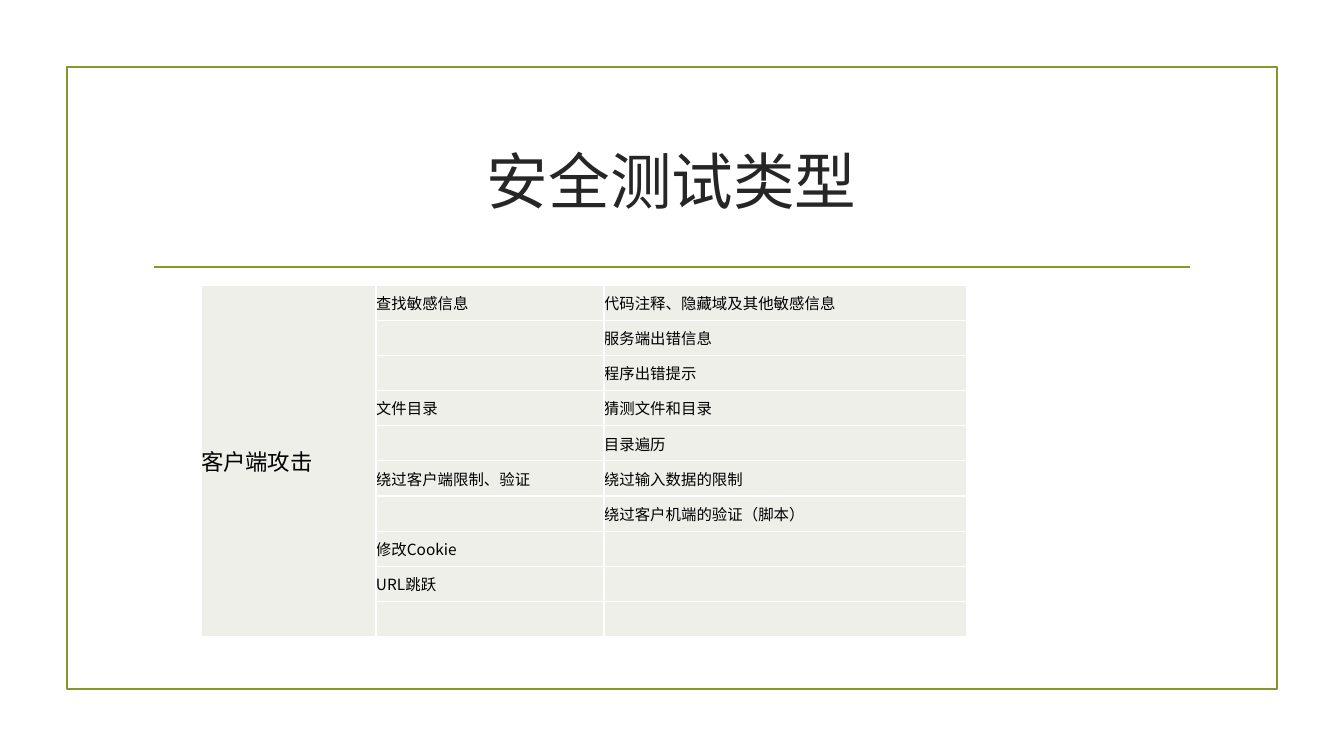
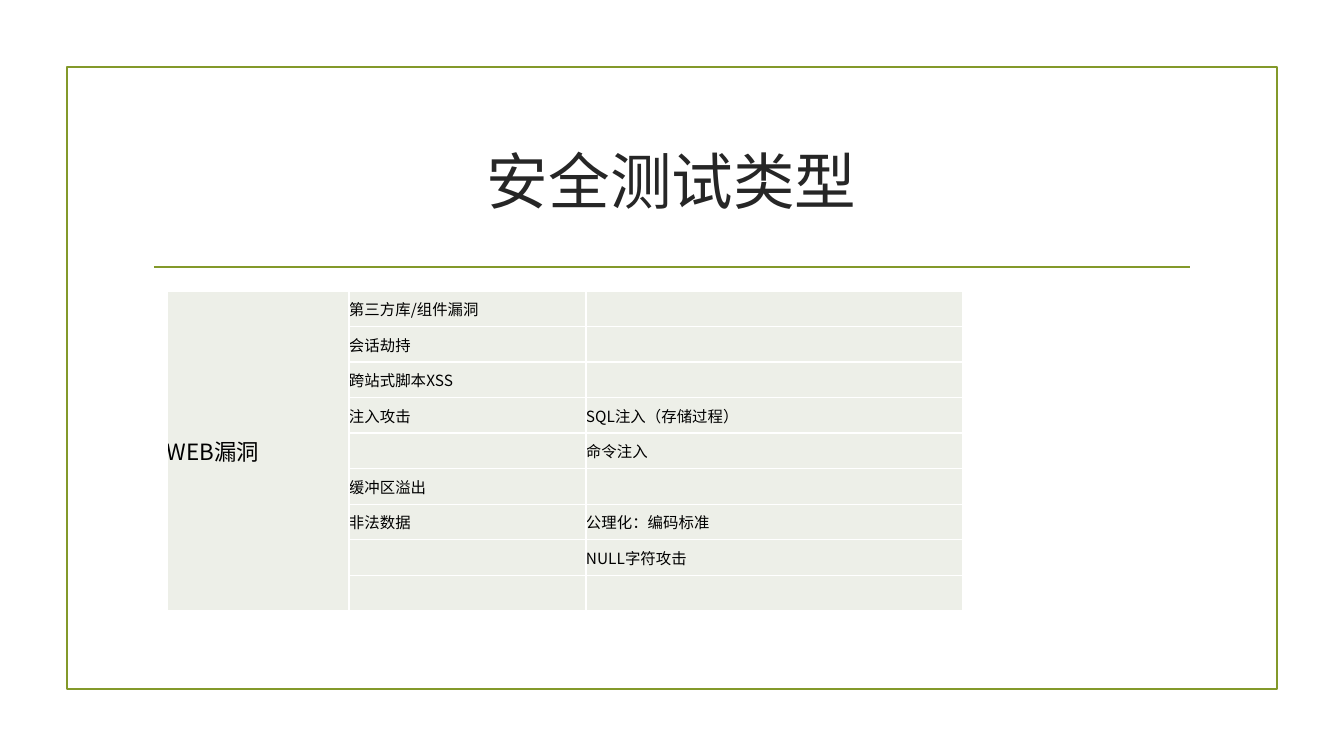
import lxml.etree
import pptx
import pptx.dml.color
import pptx.enum.shapes
import pptx.enum.text
import pptx.oxml.ns
import pptx.util

HUES = {"line": "83992A", "title": "262626", "text": "000000",
        "cell": "EDEFE8", "edge": "FFFFFF"}
CJK = "Noto Sans CJK SC"
SERIF = "Times New Roman"
TITLE = "安全测试类型"
MIDDLE = pptx.enum.text.MSO_ANCHOR.MIDDLE

TABLES = [
    {"box": (201, 285, 352), "cols": (175, 228, 363), "head": "客户端攻击",
     "rows": [
         ("查找敏感信息", "代码注释、隐藏域及其他敏感信息"),
         ("", "服务端出错信息"),
         ("", "程序出错提示"),
         ("文件目录", "猜测文件和目录"),
         ("", "目录遍历"),
         ("绕过客户端限制、验证", "绕过输入数据的限制"),
         ("", "绕过客户机端的验证（脚本）"),
         ("修改Cookie", ""),
         ("URL跳跃", ""),
         ("", "")]},
    {"box": (167, 291, 320), "cols": (182, 237, 377), "head": "WEB漏洞",
     "rows": [
         ("第三方库/组件漏洞", ""),
         ("会话劫持", ""),
         ("跨站式脚本XSS", ""),
         ("注入攻击", "SQL注入（存储过程）"),
         ("", "命令注入"),
         ("缓冲区溢出", ""),
         ("非法数据", "公理化：编码标准"),
         ("", "NULL字符攻击"),
         ("", "")]},
]


def px(num):
    """Turn px, at 100.8 to the inch, into EMU."""
    return pptx.util.Emu(round(num * 914400 / 100.8))


def hue(name):
    return pptx.dml.color.RGBColor.from_string(HUES[name])


def add_tag(node, name, **attrs):
    return lxml.etree.SubElement(node, pptx.oxml.ns.qn(name), **attrs)


def write(frame, text, size, face, tone):
    frame.text = text
    for run in frame.paragraphs[0].runs:
        font = run.font
        font.size = pptx.util.Pt(size)
        font.name = face
        font.color.rgb = hue(tone)
        add_tag(font._element, "a:ea", typeface=CJK)


def style_line(line):
    line.color.rgb = hue("line")
    line.width = pptx.util.Pt(1.25)


def add_base(slide):
    """Draw the frame, the rule and the title that all slides share."""
    frame = slide.shapes.add_shape(
        pptx.enum.shapes.MSO_SHAPE.RECTANGLE, px(67), px(67), px(1210), px(622))
    frame.shadow.inherit = False
    frame.fill.background()
    style_line(frame.line)

    rule = slide.shapes.add_connector(
        pptx.enum.shapes.MSO_CONNECTOR.STRAIGHT, px(154), px(267), px(1190), px(267))
    style_line(rule.line)
    add_tag(rule._element.spPr, "a:effectLst")

    text = slide.shapes.add_textbox(px(143), px(108), px(1058), px(144)).text_frame
    text.word_wrap = True
    text.vertical_anchor = MIDDLE
    write(text, TITLE, 44, SERIF, "title")
    text.paragraphs[0].alignment = pptx.enum.text.PP_ALIGN.CENTER


def style_cell(cell):
    cell.margin_left = cell.margin_right = 0
    cell.margin_top = cell.margin_bottom = 0
    cell.vertical_anchor = MIDDLE
    props = cell._tc.get_or_add_tcPr()
    for side in ("L", "R", "T", "B"):
        edge = add_tag(props, "a:ln" + side, w=str(pptx.util.Pt(1)))
        add_tag(add_tag(edge, "a:solidFill"), "a:srgbClr", val=HUES["edge"])
    cell.fill.solid()
    cell.fill.fore_color.rgb = hue("cell")


def add_grid(slide, data):
    left, top, high = data["box"]
    cols, rows = data["cols"], data["rows"]
    count = len(rows)
    grid = slide.shapes.add_table(
        count, len(cols), px(left), px(top), px(sum(cols)), px(high)).table
    grid.first_row = grid.horz_banding = False
    for col, wide in zip(grid.columns, cols):
        col.width = px(wide)
    for row in grid.rows:
        row.height = px(high / count)
    for cell in grid.iter_cells():
        style_cell(cell)
    head = grid.cell(0, 0)
    head.merge(grid.cell(count - 1, 0))
    write(head.text_frame, data["head"], 16, CJK, "text")
    for r, texts in enumerate(rows):
        for c, text in enumerate(texts, 1):
            write(grid.cell(r, c).text_frame, text, 11, CJK, "text")


def main():
    deck = pptx.Presentation()
    deck.slide_width, deck.slide_height = px(1344), px(756)
    for data in TABLES:
        slide = deck.slides.add_slide(deck.slide_layouts[6])
        add_base(slide)
        add_grid(slide, data)
    deck.save("out.pptx")


if __name__ == "__main__":
    main()
